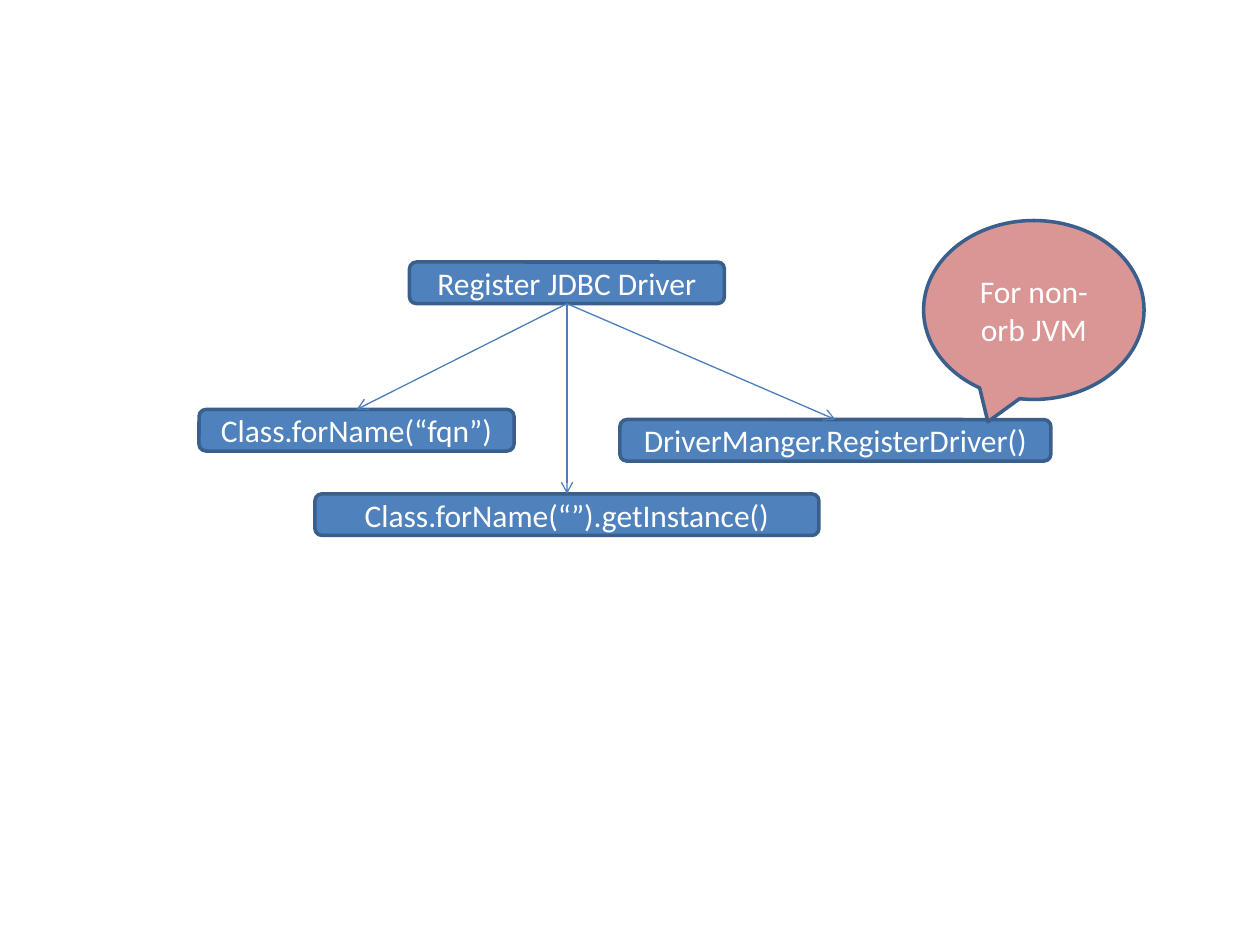
from lxml import etree
from pptx import Presentation
from pptx.dml.color import RGBColor
from pptx.enum.shapes import MSO_CONNECTOR, MSO_SHAPE
from pptx.enum.text import MSO_ANCHOR, PP_ALIGN
from pptx.oxml.ns import qn
from pptx.util import Inches, Pt

COLORS = {"box": "4F81BD", "callout": "D99694", "border": "3A5F8C",
          "arrow": "4B7EBC", "text": "FFFFFF"}
FONT = {"name": "Calibri", "size": Pt(18)}
BOX_HEIGHT = 0.33


def rgb(name):
    return RGBColor.from_string(COLORS[name])


def add_label(s, kind, fill, text, left, top, width, height):
    sp = s.shapes.add_shape(kind, Inches(left), Inches(top),
                            Inches(width), Inches(height))
    sp.shadow.inherit = False
    sp.fill.solid()
    sp.fill.fore_color.rgb = rgb(fill)
    sp.line.color.rgb = rgb("border")
    sp.line.width = Pt(2)
    tf = sp.text_frame
    tf.word_wrap = True
    tf.vertical_anchor = MSO_ANCHOR.MIDDLE
    p = tf.paragraphs[0]
    p.alignment = PP_ALIGN.CENTER
    r = p.add_run()
    r.text = text
    for name, value in FONT.items():
        setattr(r.font, name, value)
    r.font.color.rgb = rgb("text")
    return sp


def add_arrow(s, parent, child):
    c = s.shapes.add_connector(MSO_CONNECTOR.STRAIGHT, 0, 0, 0, 0)
    c.begin_connect(parent, 2)
    c.end_connect(child, 0)
    c.line.color.rgb = rgb("arrow")
    c.line.width = Pt(0.75)
    etree.SubElement(c.line._get_or_add_ln(), qn("a:tailEnd"), type="arrow")
    etree.SubElement(c._element.spPr, qn("a:effectLst"))


def add_driver_tree(s, left, top):
    """Root box and the ways to register, offset from the tree's corner."""
    boxes = [
        ("Register JDBC Driver", 1.67, 0, 2.5),
        ("Class.forName(“”).getInstance()", 0.92, 1.84, 4),
        ("Class.forName(“fqn”)", 0, 1.17, 2.5),
        ("DriverManger.RegisterDriver()", 3.34, 1.25, 3.42),
    ]
    root, *children = [
        add_label(s, MSO_SHAPE.ROUNDED_RECTANGLE, "box", text,
                  left + dx, top + dy, width, BOX_HEIGHT)
        for text, dx, dy, width in boxes]
    for child in children:
        add_arrow(s, root, child)


def main():
    prs = Presentation()
    prs.slide_width, prs.slide_height = Inches(10), Inches(7.5)
    s = prs.slides.add_slide(prs.slide_layouts[6])

    # Registration options
    add_driver_tree(s, 1.58, 2.08)

    # Note on the last option
    add_label(s, MSO_SHAPE.OVAL_CALLOUT, "callout", "For non-orb JVM",
              7.33, 1.75, 1.75, 1.42)

    prs.save("out.pptx")


if __name__ == "__main__":
    main()
